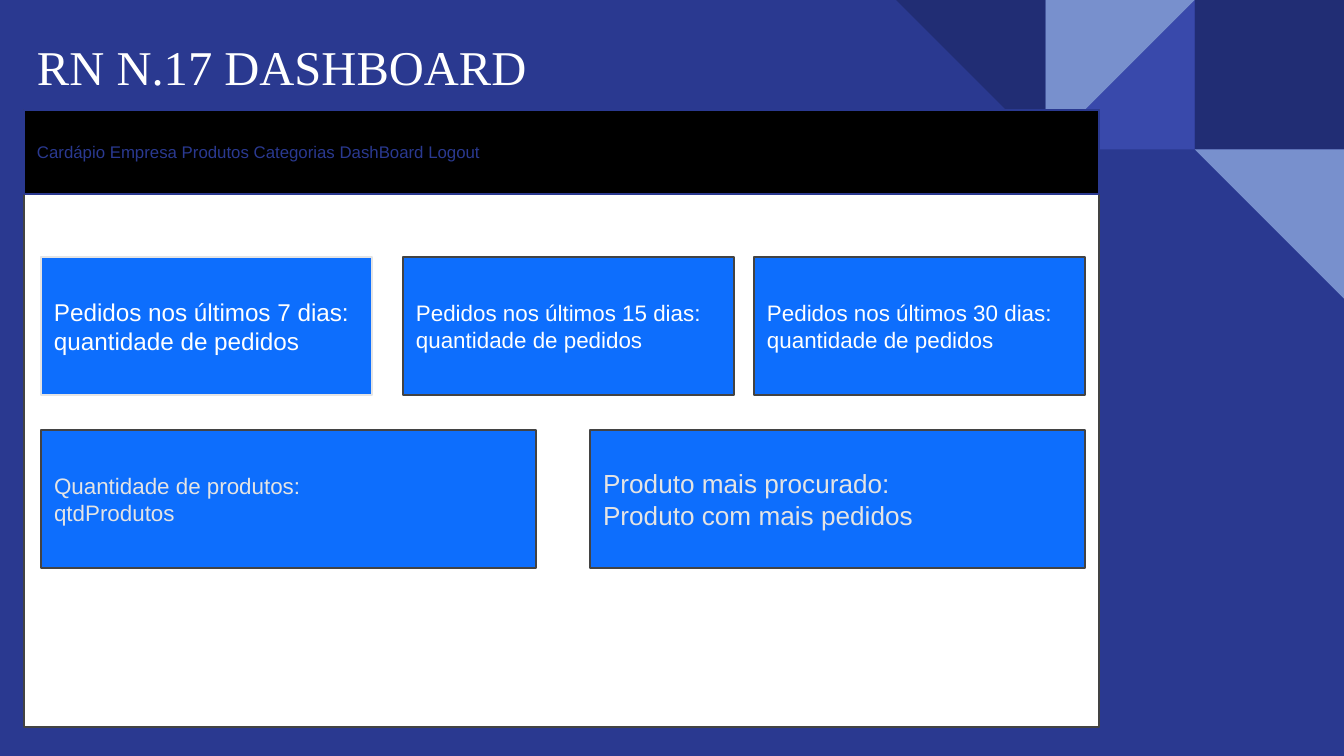
import pptx
import pptx.util
import pptx.dml.color
import pptx.enum.shapes
import pptx.enum.text
from dataclasses import dataclass

SCALE = 914400 / 134.4
SHAPES = pptx.enum.shapes.MSO_SHAPE
ANCHORS = pptx.enum.text.MSO_ANCHOR


def px(length):
    return pptx.util.Emu(round(length * SCALE))


def rgb(value):
    return pptx.dml.color.RGBColor.from_string(value)


@dataclass(frozen=True)
class Theme:
    background: str = "2A3990"
    navy: str = "212D74"
    indigo: str = "3949AB"
    sky: str = "7890CD"
    white: str = "FFFFFF"
    black: str = "000000"
    card: str = "0D6EFD"
    dark_line: str = "434343"
    pale: str = "E4E4E4"
    heading_font: str = "Times New Roman"
    body_font: str = "Arial"
    heading_size: int = 26
    large_size: int = 14
    medium_size: int = 13
    body_size: int = 12
    menu_size: int = 9
    line_width: float = 0.75
    inset: int = 13


class SlideBuilder:
    def __init__(self, slide, theme):
        self.slide = slide
        self.theme = theme
        slide.background.fill.solid()
        slide.background.fill.fore_color.rgb = rgb(theme.background)

    def shape(self, kind, box, fill, line=None, rotation=0):
        shape = self.slide.shapes.add_shape(kind, *map(px, box))
        shape.shadow.inherit = False
        shape.rotation = rotation
        shape.fill.solid()
        shape.fill.fore_color.rgb = rgb(fill)
        if line:
            shape.line.color.rgb = rgb(line)
            shape.line.width = pptx.util.Pt(self.theme.line_width)
        else:
            shape.line.fill.background()
        return shape

    def add_text(self, shape, lines, size, color, font, anchor):
        frame = shape.text_frame
        frame.word_wrap = True
        frame.vertical_anchor = anchor
        frame.margin_left = frame.margin_right = px(self.theme.inset)
        frame.margin_top = frame.margin_bottom = px(self.theme.inset)
        for index, line in enumerate(lines):
            paragraph = frame.add_paragraph() if index else frame.paragraphs[0]
            paragraph.alignment = pptx.enum.text.PP_ALIGN.LEFT
            run = paragraph.add_run()
            run.text = line
            run.font.size = pptx.util.Pt(size)
            run.font.name = font
            run.font.color.rgb = rgb(color)

    def panel(self, box, fill, line, lines=(), size=None, color=None):
        shape = self.shape(SHAPES.RECTANGLE, box, fill, line)
        self.add_text(shape, lines, size, color, self.theme.body_font, ANCHORS.MIDDLE)

    def title(self, box, text):
        theme = self.theme
        shape = self.slide.shapes.add_textbox(*map(px, box))
        self.add_text(shape, [text], theme.heading_size, theme.white,
                      theme.heading_font, ANCHORS.TOP)


def main():
    theme = Theme()
    width, height = 1344, 756
    presentation = pptx.Presentation()
    presentation.slide_width = px(width)
    presentation.slide_height = px(height)
    builder = SlideBuilder(
        presentation.slides.add_slide(presentation.slide_layouts[6]), theme)

    tile = width / 9
    triangle = SHAPES.RIGHT_TRIANGLE
    for kind, column, row, fill, rotation in [
        (SHAPES.RECTANGLE, 8, 0, theme.navy, 0),
        (triangle, 7, 0, theme.indigo, 270),
        (triangle, 7, 0, theme.sky, 90),
        (triangle, 6, 0, theme.navy, 180),
        (triangle, 8, 1, theme.sky, 180),
    ]:
        box = (column * tile, row * tile, tile, tile)
        builder.shape(kind, box, fill, rotation=rotation)

    left, top, page_width = 24, 110, 1075
    builder.panel((left, top, page_width, 617), theme.white, theme.dark_line)

    amount = "quantidade de pedidos"
    upper = (257, 331)
    lower = (430, 495)
    for x, (y, card_width), line, lines, size, color in [
        (41, upper, theme.pale, ["Pedidos nos últimos 7 dias: " + amount],
         theme.medium_size, theme.white),
        (403, upper, theme.dark_line, ["Pedidos nos últimos 15 dias:", amount],
         theme.body_size, theme.white),
        (754, upper, theme.dark_line, ["Pedidos nos últimos 30 dias:", amount],
         theme.body_size, theme.white),
        (41, lower, theme.dark_line, ["Quantidade de produtos:", "qtdProdutos"],
         theme.body_size, theme.pale),
        (590, lower, theme.dark_line,
         ["Produto mais procurado:", "Produto com mais pedidos"],
         theme.large_size, theme.pale),
    ]:
        builder.panel((x, y, card_width, 138), theme.card, line, lines, size, color)

    builder.panel((left, top, page_width, 84), theme.black, theme.background,
                  ["Cardápio Empresa Produtos Categorias DashBoard Logout"],
                  theme.menu_size, theme.background)
    builder.title((left, 24, 1137, 86), "RN N.17 DASHBOARD")

    presentation.save("out.pptx")


if __name__ == "__main__":
    main()
